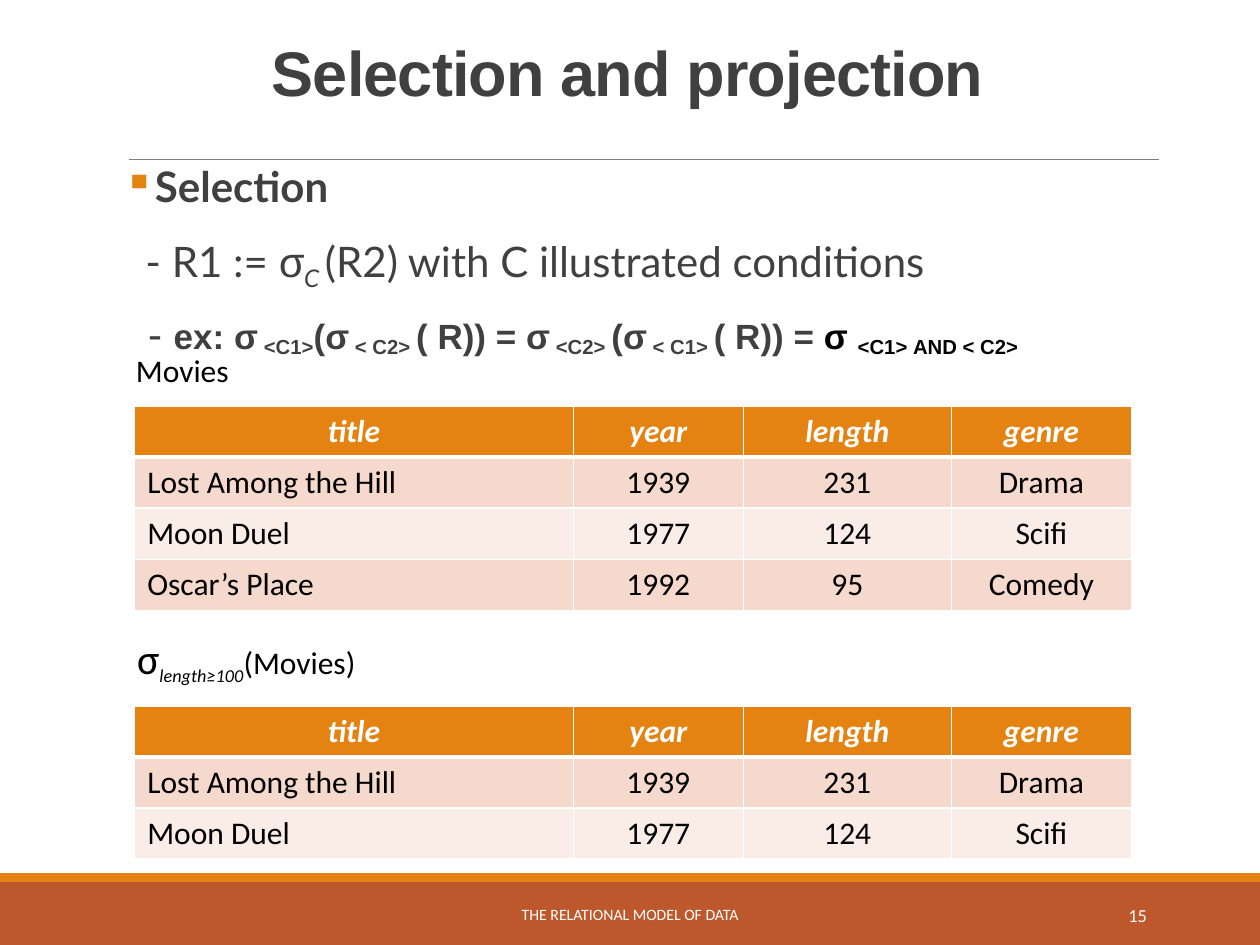
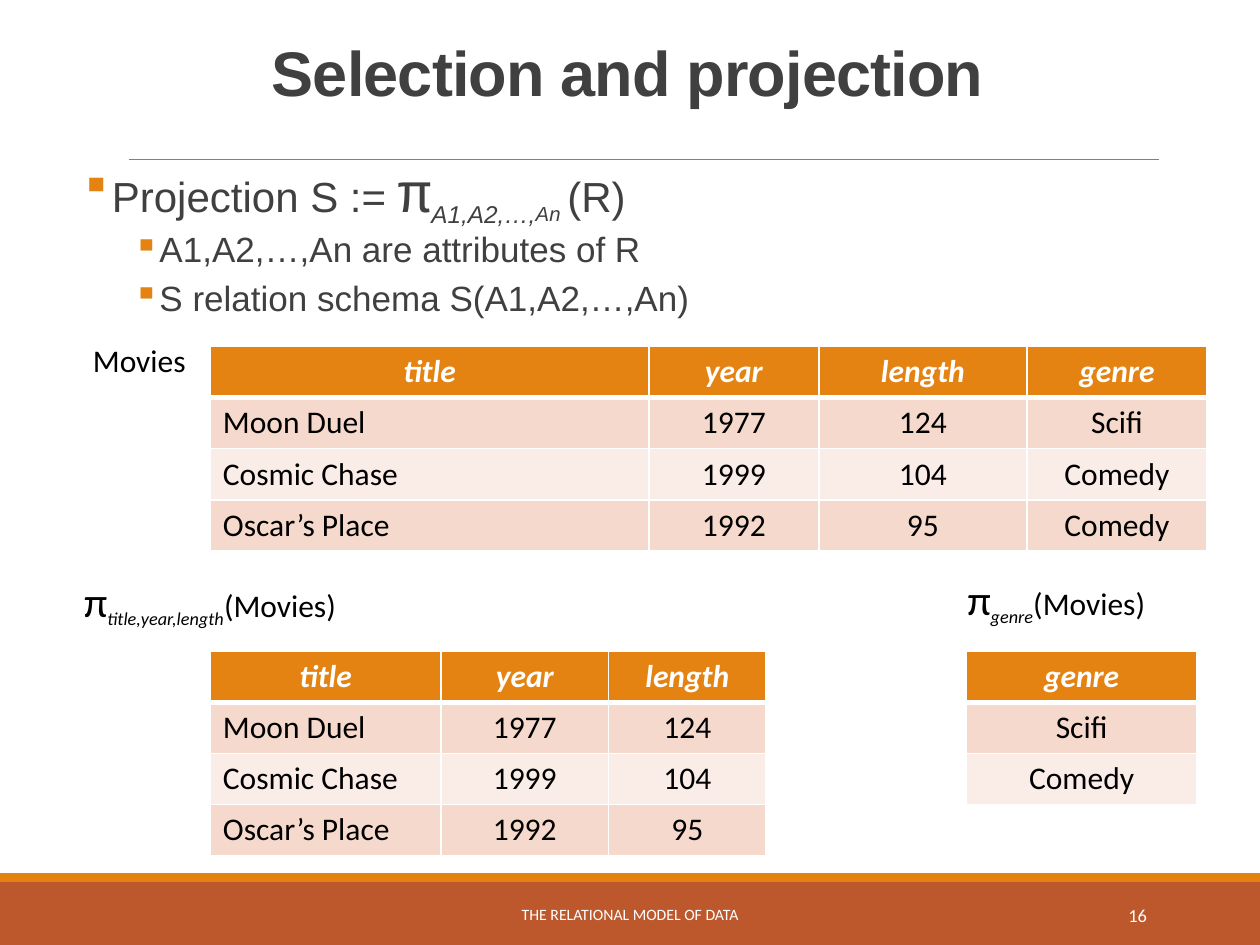
from lxml.etree import SubElement
from pptx import Presentation
from pptx.dml.color import RGBColor
from pptx.enum.shapes import MSO_CONNECTOR as CONN, MSO_SHAPE as SHAPE
from pptx.enum.text import MSO_ANCHOR as ANCHOR, MSO_AUTO_SIZE as FIT, PP_ALIGN as ALIGN
from pptx.oxml.ns import qn
from pptx.util import Pt

WHITE = RGBColor(0xFF, 0xFF, 0xFF)
BLACK = RGBColor(0, 0, 0)
DARK = RGBColor(0x40, 0x40, 0x40)
GRAY = RGBColor(0x80, 0x80, 0x80)
ORANGE = RGBColor(0xE4, 0x83, 0x12)
RUST = RGBColor(0xBD, 0x58, 0x2C)
BANDS = RGBColor(0xF5, 0xD9, 0xCC), RGBColor(0xFA, 0xED, 0xE7)

TITLE = dict(name="Arial", size=Pt(36), color=DARK, bold=True)
FOOTER = dict(name="Calibri", size=Pt(9), color=WHITE)
LABEL = dict(name="Calibri", size=Pt(18), color=BLACK)
HEADER = LABEL | dict(color=WHITE, bold=True, italic=True)
LATO = dict(name="Lato", size=Pt(24), color=DARK)
ARIAL = LATO | dict(name="Arial")
EXAMPLE = ARIAL | dict(size=Pt(20), bold=True)
POINT = ARIAL | dict(size=Pt(20))

COLUMNS = ["title", "year", "length", "genre"]
WIDTHS = [250.6, 97.2, 118.8, 103]
ROW_HEIGHT = 29.2
EPIC = ("Lost Among the Hill", "1939", "231", "Drama")
SPACE = ("Moon Duel", "1977", "124", "Scifi")
PARODY = ("Cosmic Chase", "1999", "104", "Comedy")
ROCK = ("Oscar’s Place", "1992", "95", "Comedy")


def points(*values):
    return [Pt(v) for v in values]


def add_run(p, text, fmt, baseline=0):
    r = p.add_run()
    r.text = text
    for key, value in fmt.items():
        if key == "color":
            r.font.color.rgb = value
        else:
            setattr(r.font, key, value)
    if baseline:
        r._r.get_or_add_rPr().set("baseline", str(baseline * 1000))
    return r


def add_text(slide, box, runs, align=ALIGN.LEFT, anchor=ANCHOR.TOP, grow=False):
    tf = slide.shapes.add_textbox(*points(*box)).text_frame
    tf.word_wrap = not grow
    tf.auto_size = FIT.SHAPE_TO_FIT_TEXT if grow else FIT.NONE
    tf.vertical_anchor = anchor
    p = tf.paragraphs[0]
    p.alignment = align
    for run in runs:
        add_run(p, *run)


def add_label(slide, box, symbol="", subscript=""):
    runs = [("Movies", LABEL)]
    if symbol:
        runs = [(symbol, LABEL | dict(size=Pt(24))),
                (subscript, LABEL | dict(italic=True), -25), ("(Movies)", LABEL)]
    add_text(slide, box, runs, grow=True)


def add_body(slide, box, paragraphs):
    tf = slide.shapes.add_textbox(*points(*box)).text_frame
    tf.word_wrap = True
    tf.margin_left = tf.margin_right = 0
    for i, (margin, hanging, before, after, runs) in enumerate(paragraphs):
        p = tf.add_paragraph() if i else tf.paragraphs[0]
        p.line_spacing = 0.9
        p.space_before, p.space_after = points(before, after)
        pPr = p._p.get_or_add_pPr()
        pPr.set("marL", str(Pt(margin)))
        pPr.set("indent", str(-Pt(hanging)))
        if hanging:
            color = SubElement(pPr, qn("a:buClr"))
            SubElement(color, qn("a:srgbClr"), val=str(ORANGE))
            SubElement(pPr, qn("a:buChar"), char="▪")
        for run in runs:
            add_run(p, *run)


def set_borders(cell, top, bottom):
    tcPr = cell._tc.get_or_add_tcPr()
    for side, width in dict(L=1, R=1, T=top, B=bottom).items():
        ln = SubElement(tcPr, qn("a:ln" + side), w=str(Pt(width)))
        fill = SubElement(ln, qn("a:solidFill"))
        SubElement(fill, qn("a:srgbClr"), val=str(WHITE))


def add_table(slide, left, top, columns, widths, rows):
    grid = [columns, *rows]
    box = points(left, top, sum(widths), ROW_HEIGHT * len(grid))
    table = slide.shapes.add_table(len(grid), len(columns), *box).table
    for column, width in zip(table.columns, widths):
        column.width = Pt(width)
    for i, values in enumerate(grid):
        table.rows[i].height = Pt(ROW_HEIGHT)
        for j, value in enumerate(values):
            cell = table.cell(i, j)
            set_borders(cell, 3 if i == 1 else 1, 1 if i else 3)
            cell.fill.solid()
            cell.fill.fore_color.rgb = BANDS[(i - 1) % 2] if i else ORANGE
            p = cell.text_frame.paragraphs[0]
            left_aligned = i and columns[j] == "title"
            p.alignment = ALIGN.LEFT if left_aligned else ALIGN.CENTER
            add_run(p, value, LABEL if i else HEADER)


def project(rows, columns):
    picks = [COLUMNS.index(c) for c in columns]
    return list(dict.fromkeys(tuple(row[k] for k in picks) for row in rows))


def add_band(slide, box, color):
    sp = slide.shapes.add_shape(SHAPE.RECTANGLE, *points(*box))
    sp.shadow.inherit = False
    sp.fill.solid()
    sp.fill.fore_color.rgb = color
    sp.line.fill.background()


def add_title(slide, box):
    sp = slide.shapes.title
    sp.left, sp.top, sp.width, sp.height = points(*box)
    tf = sp.text_frame
    tf.auto_size = FIT.NONE
    tf.vertical_anchor = ANCHOR.TOP
    p = tf.paragraphs[0]
    p.alignment = ALIGN.CENTER
    p.line_spacing = 0.85
    r = add_run(p, "Selection and projection", TITLE)
    r._r.get_or_add_rPr().set("spc", "-50")


def add_footer(slide, left, top, width, height, number):
    add_band(slide, (left, top + 5, width, height - 5), RUST)
    add_band(slide, (left, top, width, 5), ORANGE)
    text_top = top + 9.3
    add_text(slide, (left + 217.4, text_top, 285.2, 28.8),
             [("THE RELATIONAL MODEL OF DATA", FOOTER)], ALIGN.CENTER, ANCHOR.MIDDLE)
    add_text(slide, (left + 584.6, text_top, 77.8, 28.8),
             [(str(number), FOOTER | dict(size=Pt(10.5)))], ALIGN.RIGHT, ANCHOR.MIDDLE)


def new_slide(prs, number):
    slide = prs.slides.add_slide(prs.slide_layouts[5])
    add_footer(slide, 0, 499, 720, 41, number)
    rule = slide.shapes.add_connector(CONN.STRAIGHT, *points(73.5, 91, 662.5, 91))
    rule.line.color.rgb = GRAY
    rule.line.width = Pt(0.5)
    SubElement(rule._element.spPr, qn("a:effectLst"))
    add_title(slide, (46, 22.3, 625, 66.2))
    return slide


def selection_slide(prs, number):
    slide = new_slide(prs, number)
    example = [("- ", ARIAL), ("ex: σ", EXAMPLE), (" <C1>", EXAMPLE, -16),
               ("(σ", EXAMPLE), (" < C2> ", EXAMPLE, -16), ("( R)) = σ", EXAMPLE),
               (" <C2> ", EXAMPLE, -16), ("(σ", EXAMPLE), (" < C1> ", EXAMPLE, -16),
               ("( R)) = ", EXAMPLE), ("σ ", EXAMPLE | dict(color=BLACK)),
               ("<C1> AND < C2>", EXAMPLE | dict(color=BLACK), -16)]
    formula = [("- R1 := ", LATO), ("σ", LATO | dict(name="Courier New")),
               ("C ", LATO | dict(italic=True), -25),
               ("(R2) with C illustrated conditions", LATO)]
    add_body(slide, (70.6, 91.4, 591, 66.2), [
        (14, 14, 12, 2, [("Selection", LATO | dict(bold=True))]),
        (12.5, 0, 12, 2, formula),
        (14, 0, 12, 2, example)])
    movies = [EPIC, SPACE, ROCK]
    long_movies = [m for m in movies if int(m[2]) >= 100]
    add_label(slide, (70.6, 197.3, 72, 28.8))
    add_table(slide, 77, 232, COLUMNS, WIDTHS, movies)
    add_label(slide, (71.3, 357.8, 160.6, 36), "σ", "length≥100")
    add_table(slide, 77, 403.4, COLUMNS, WIDTHS, long_movies)


def projection_slide(prs, number):
    slide = new_slide(prs, number)
    italic = ARIAL | dict(italic=True)
    formula = [("Projection S := ", ARIAL),
               ("π", ARIAL | dict(name="Courier New", size=Pt(32))),
               ("A1,A2,…,", italic, -25), ("An", italic | dict(size=Pt(20)), -25),
               (" ", italic, -25), ("(R)", ARIAL)]
    add_body(slide, (46, 88.6, 625, 403), [
        (15, 15, 12, 2, formula),
        (44.6, 14.4, 2, 4, [("A1,A2,…,An are attributes of R", POINT)]),
        (44.6, 14.4, 2, 4, [("S relation schema S(A1,A2,…,An)", POINT)])])
    movies = [SPACE, PARODY, ROCK]
    add_label(slide, (46, 191.5, 72, 28.8))
    add_table(slide, 120.2, 198, COLUMNS, WIDTHS, movies)
    add_label(slide, (41, 325.4, 189.4, 36), "π", "title,year,length")
    add_table(slide, 120.2, 372.2, COLUMNS[:3], [131.8, 95.8, 90],
              project(movies, COLUMNS[:3]))
    add_label(slide, (545.8, 324, 119.5, 36), "π", "genre")
    add_table(slide, 552.2, 372.2, ["genre"], [131.8], project(movies, ["genre"]))


def main():
    prs = Presentation()
    prs.slide_width, prs.slide_height = points(720, 540)
    selection_slide(prs, 15)
    projection_slide(prs, 16)
    prs.save("out.pptx")


if __name__ == "__main__":
    main()
